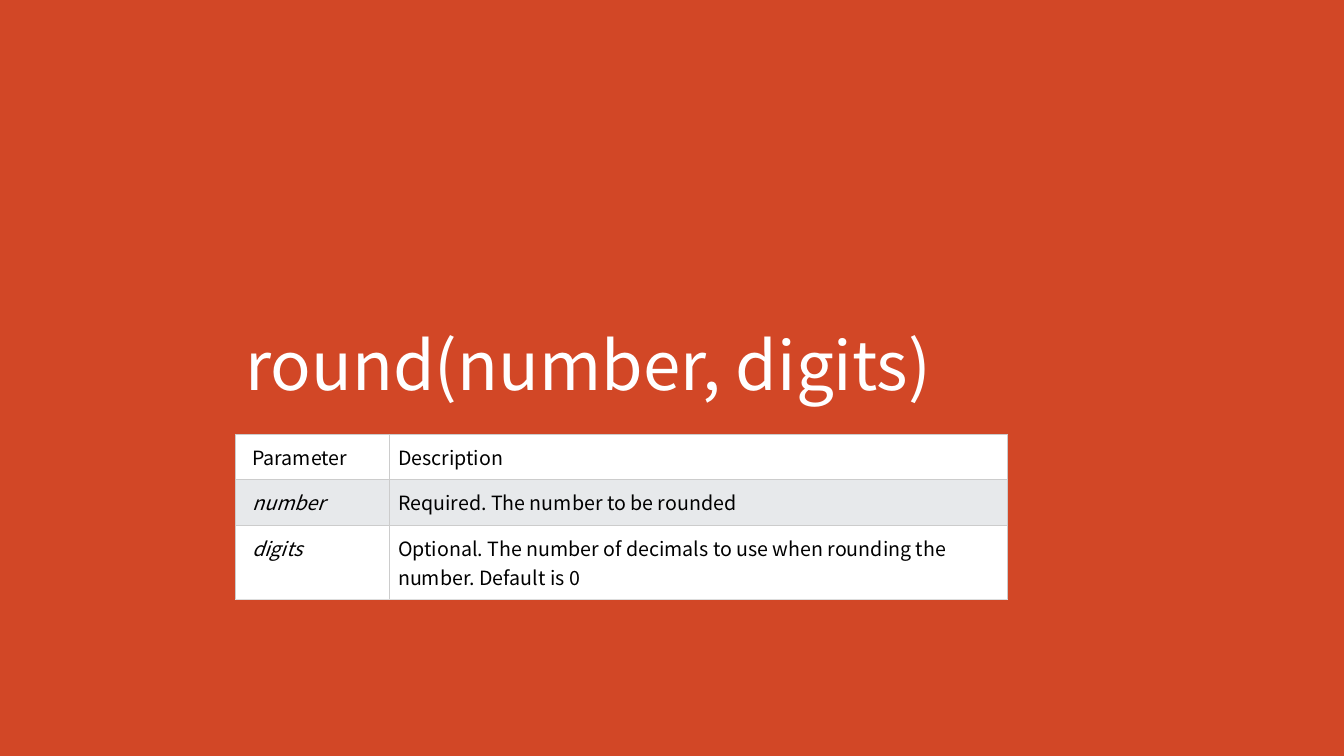
from lxml import etree
from pptx import Presentation
from pptx import util as u
from pptx.dml.color import RGBColor
from pptx.enum import shapes, text
from pptx.oxml import ns

TITLE = "round(number, digits)"
ROWS = [
    ("Parameter", "Description"),
    ("number", "Required. The number to be rounded"),
    ("digits", "Optional. The number of decimals to use when rounding "
               "the number. Default is 0"),
]
WIDTHS = (110.2, 441.4)
HEIGHTS = (32.5, 32.5, 53)
LEFT, TOP = 168.2, 310.2

RED = RGBColor(0xD2, 0x47, 0x26)
WHITE = RGBColor(0xFF, 0xFF, 0xFF)
BLACK = RGBColor(0, 0, 0)
BAND = RGBColor(0xE7, 0xE9, 0xEB)
EDGE = RGBColor(0xCC, 0xCC, 0xCC)
FOOT = RGBColor(0xDD, 0xDD, 0xDD)


def style(item, values):
    for name, value in values.items():
        setattr(item, name, value)


def write(frame, words, face, size, color, slant=False):
    run = frame.paragraphs[0].add_run()
    run.text = words
    style(run.font, {"name": face, "size": u.Pt(size), "italic": slant})
    run.font.color.rgb = color


def paint(shape, color):
    shape.fill.solid()
    shape.fill.fore_color.rgb = color


def border(cell, last):
    props = cell._tc.get_or_add_tcPr()
    for spot, side in enumerate("LRTB"):
        line = etree.Element(ns.qn(f"a:ln{side}"), w=str(u.Pt(0.75)))
        fill = etree.SubElement(line, ns.qn("a:solidFill"))
        color = FOOT if last and side == "B" else EDGE
        etree.SubElement(fill, ns.qn("a:srgbClr"), val=str(color))
        props.insert(spot, line)


deck = Presentation()
style(deck, {"slide_width": u.Pt(960), "slide_height": u.Pt(540)})
slide = deck.slides.add_slide(deck.slide_layouts[6])

back = slide.shapes.add_shape(
    shapes.MSO_SHAPE.RECTANGLE, 0, 0, deck.slide_width, deck.slide_height)
back.shadow.inherit = False
paint(back, RED)
back.line.fill.background()

title = slide.shapes.add_textbox(
    u.Pt(LEFT), u.Pt(173.5), u.Pt(769), u.Pt(115.2)).text_frame
style(title, {"word_wrap": True, "margin_bottom": 0,
              "vertical_anchor": text.MSO_ANCHOR.BOTTOM})
write(title, TITLE, "Noto Sans CJK SC", 48, WHITE)

table = slide.shapes.add_table(
    len(ROWS), len(WIDTHS), u.Pt(LEFT), u.Pt(TOP),
    u.Pt(sum(WIDTHS)), u.Pt(sum(HEIGHTS))).table
style(table, {"first_row": False, "horz_banding": False})
for col, width in zip(table.columns, WIDTHS):
    col.width = u.Pt(width)
for r, (row, height) in enumerate(zip(ROWS, HEIGHTS)):
    table.rows[r].height = u.Pt(height)
    for c, words in enumerate(row):
        cell = table.cell(r, c)
        style(cell, {"margin_left": u.Pt(6 if c else 12),
                     "margin_right": u.Pt(6),
                     "margin_top": u.Pt(6), "margin_bottom": u.Pt(6)})
        paint(cell, BAND if r % 2 else WHITE)
        border(cell, r == len(ROWS) - 1)
        write(cell.text_frame, words, "Noto Sans CJK TC", 14, BLACK,
              r > 0 and c == 0)

deck.save("out.pptx")
